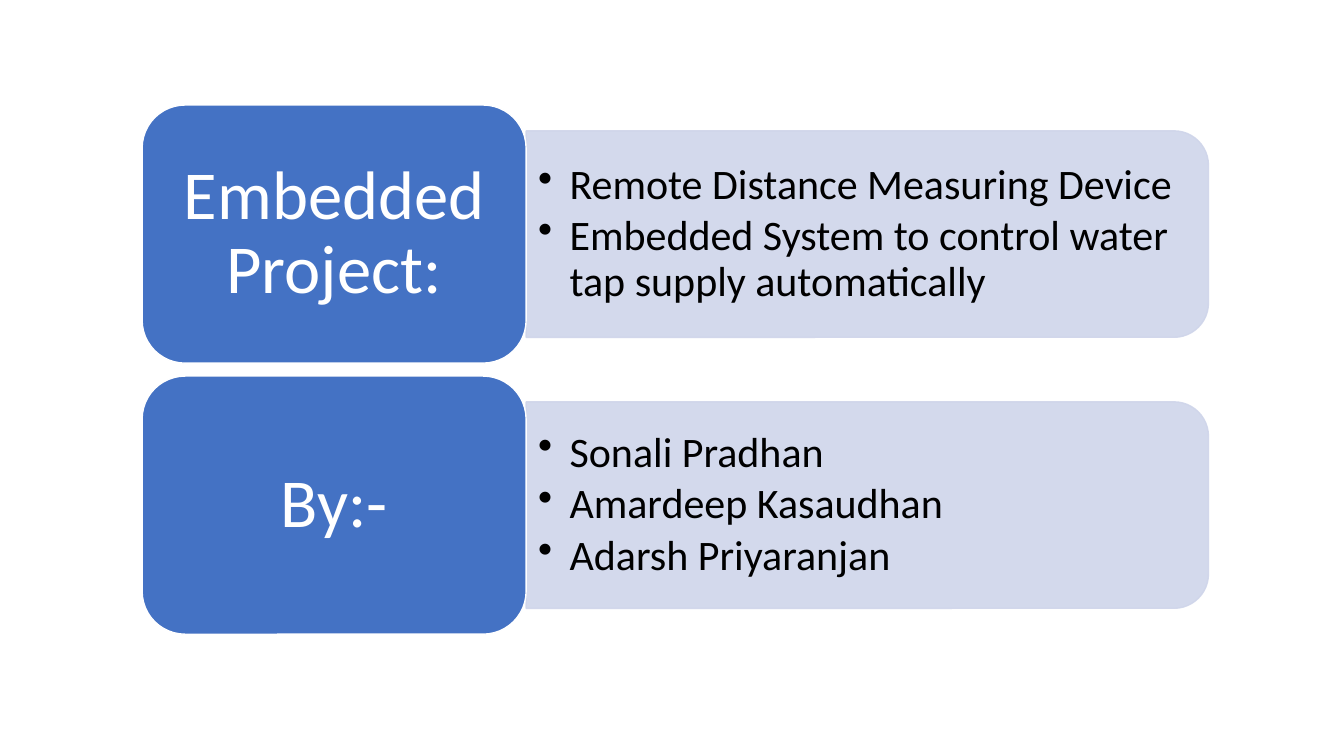
import pptx
import pptx.dml.color
import pptx.enum.shapes
import pptx.enum.text
import pptx.oxml.ns
import pptx.util
from lxml import etree

Pt = pptx.util.Pt
RGBColor = pptx.dml.color.RGBColor
MSO_SHAPE = pptx.enum.shapes.MSO_SHAPE
PP_ALIGN = pptx.enum.text.PP_ALIGN
qn = pptx.oxml.ns.qn

SECTIONS = [
    ("Embedded Project:", [
        "Remote Distance Measuring Device",
        "Embedded System to control water tap supply automatically",
    ]),
    ("By:-", ["Sonali Pradhan", "Amardeep Kasaudhan", "Adarsh Priyaranjan"]),
]

FONT = "Calibri"
BLUE = RGBColor(0x44, 0x72, 0xC4)
PALE_BLUE = RGBColor(0xCF, 0xD5, 0xEA)
WHITE = RGBColor(0xFF, 0xFF, 0xFF)
BLACK = RGBColor(0, 0, 0)

CARD_LEFT, CARD_TOP = 101.5, 75
CARD_WIDTH, CARD_HEIGHT = 274.3, 184.4
ROW_PITCH = 193.6
PANEL_WIDTH, PANEL_HEIGHT = 487.4, 147.5
PANEL_TEXT_WIDTH, PANEL_TEXT_HEIGHT = 480.2, 133.2
PANEL_LEFT = CARD_LEFT + CARD_WIDTH
BULLET_INDENT = 22.5


def style_shape(shape, fill, line):
    shape.shadow.inherit = False
    shape.fill.solid()
    shape.fill.fore_color.rgb = fill
    shape.line.color.rgb = line
    shape.line.width = Pt(1)


def set_frame(frame, side, edge):
    frame.word_wrap = True
    frame.vertical_anchor = pptx.enum.text.MSO_ANCHOR.MIDDLE
    frame.margin_left = frame.margin_right = Pt(side)
    frame.margin_top = frame.margin_bottom = Pt(edge)


def write(paragraph, text, size, color, alignment):
    paragraph.alignment = alignment
    paragraph.line_spacing = 0.9
    run = paragraph.add_run()
    run.text = text
    run.font.name = FONT
    run.font.size = Pt(size)
    run.font.color.rgb = color


def add_bullet(paragraph):
    paragraph.level = 1
    paragraph.space_after = Pt(4.5)
    properties = paragraph._p.get_or_add_pPr()
    properties.set("marL", str(Pt(BULLET_INDENT)))
    properties.set("indent", str(Pt(-BULLET_INDENT)))
    etree.SubElement(properties, qn("a:buChar")).set("char", "•")


def add_panel(slide, middle, items):
    center = PANEL_LEFT + PANEL_WIDTH / 2
    panel = slide.shapes.add_shape(
        MSO_SHAPE.ROUND_2_SAME_RECTANGLE,
        Pt(center - PANEL_HEIGHT / 2), Pt(middle - PANEL_WIDTH / 2),
        Pt(PANEL_HEIGHT), Pt(PANEL_WIDTH))
    panel.rotation = 90
    style_shape(panel, PALE_BLUE, PALE_BLUE)
    for color in panel._element.spPr.iter(qn("a:srgbClr")):
        etree.SubElement(color, qn("a:alpha")).set("val", "90000")

    text_box = slide.shapes.add_textbox(
        Pt(PANEL_LEFT), Pt(middle - PANEL_TEXT_HEIGHT / 2),
        Pt(PANEL_TEXT_WIDTH), Pt(PANEL_TEXT_HEIGHT))
    frame = text_box.text_frame
    set_frame(frame, 8.6, 4.3)
    for index, item in enumerate(items):
        paragraph = frame.add_paragraph() if index else frame.paragraphs[0]
        write(paragraph, item, 30, BLACK, PP_ALIGN.LEFT)
        add_bullet(paragraph)


def add_card(slide, top, title):
    card = slide.shapes.add_shape(
        MSO_SHAPE.ROUNDED_RECTANGLE,
        Pt(CARD_LEFT), Pt(top), Pt(CARD_WIDTH), Pt(CARD_HEIGHT))
    style_shape(card, BLUE, WHITE)
    set_frame(card.text_frame, 14.4, 7.2)
    write(card.text_frame.paragraphs[0], title, 49, WHITE, PP_ALIGN.CENTER)


def main():
    presentation = pptx.Presentation()
    presentation.slide_width = Pt(960)
    presentation.slide_height = Pt(540)
    slide = presentation.slides.add_slide(presentation.slide_layouts[6])
    for row, (title, items) in enumerate(SECTIONS):
        top = CARD_TOP + row * ROW_PITCH
        add_panel(slide, top + CARD_HEIGHT / 2, items)
        add_card(slide, top, title)
    presentation.save("out.pptx")


if __name__ == "__main__":
    main()
